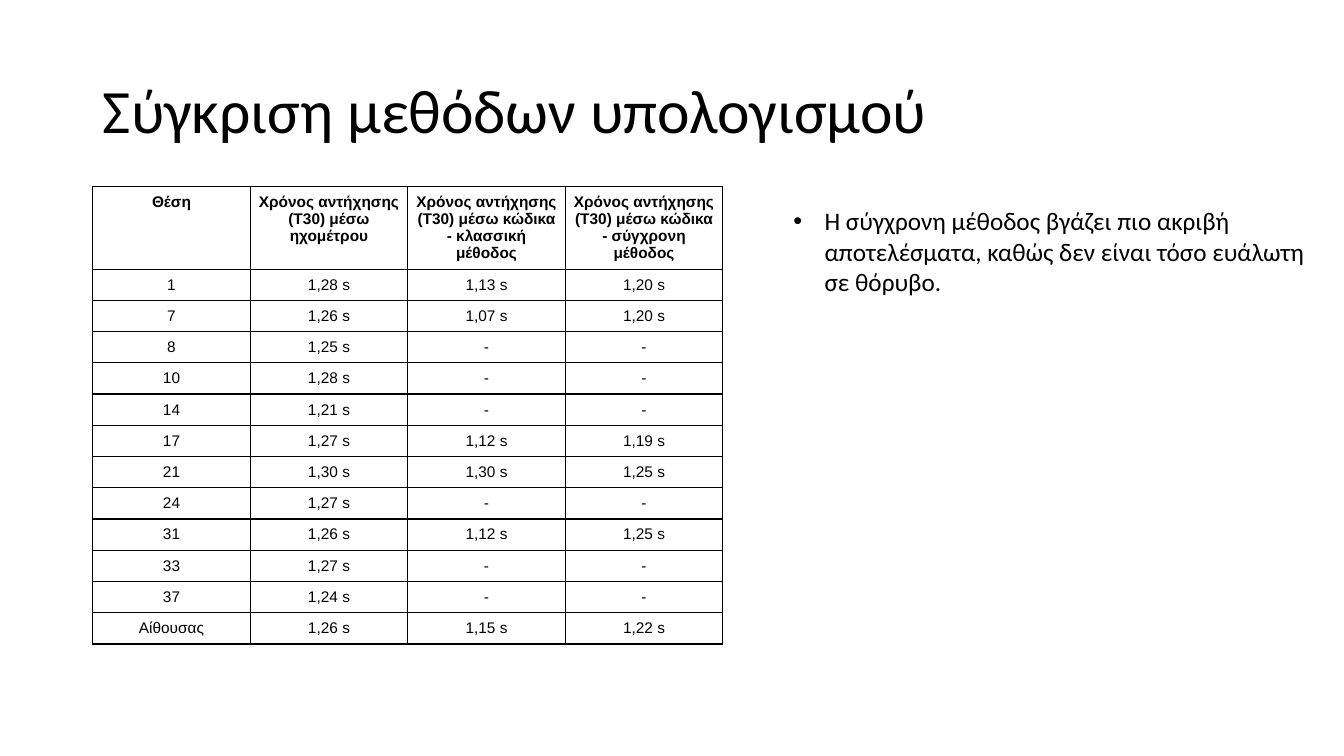
from typing import NamedTuple

from lxml.etree import SubElement
from pptx import Presentation
from pptx.dml.color import RGBColor
from pptx.enum.text import MSO_ANCHOR, MSO_AUTO_SIZE, PP_ALIGN
from pptx.oxml.ns import qn
from pptx.util import Inches, Pt

COLORS = {"text": "000000", "border": "000000"}
HEADERS = (
    "Θέση",
    "Χρόνος αντήχησης (Τ30) μέσω ηχομέτρου",
    "Χρόνος αντήχησης (Τ30) μέσω κώδικα - κλασσική μέθοδος",
    "Χρόνος αντήχησης (Τ30) μέσω κώδικα - σύγχρονη μέθοδος",
)
HEADER_HEIGHT, ROW_HEIGHT = 0.82, 0.31
TABLE_WIDTH = 6.25


class Measurement(NamedTuple):
    position: str
    meter: str
    classic: str = "-"
    modern: str = "-"


MEASUREMENTS = (
    Measurement("1", "1,28 s", "1,13 s", "1,20 s"),
    Measurement("7", "1,26 s", "1,07 s", "1,20 s"),
    Measurement("8", "1,25 s"),
    Measurement("10", "1,28 s"),
    Measurement("14", "1,21 s"),
    Measurement("17", "1,27 s", "1,12 s", "1,19 s"),
    Measurement("21", "1,30 s", "1,30 s", "1,25 s"),
    Measurement("24", "1,27 s"),
    Measurement("31", "1,26 s", "1,12 s", "1,25 s"),
    Measurement("33", "1,27 s"),
    Measurement("37", "1,24 s"),
    Measurement("Αίθουσας", "1,26 s", "1,15 s", "1,22 s"),
)


def format_runs(p, font: str, size: int, bold: bool = False) -> None:
    for r in p.runs:
        r.font.name = font
        r.font.size = Pt(size)
        r.font.bold = bold
        r.font.color.rgb = RGBColor.from_string(COLORS["text"])


def add_borders(cell) -> None:
    tc_pr = cell._tc.get_or_add_tcPr()
    for side in ("a:lnL", "a:lnR", "a:lnT", "a:lnB"):
        ln = SubElement(tc_pr, qn(side), w=str(Pt(1)))
        fill = SubElement(ln, qn("a:solidFill"))
        SubElement(fill, qn("a:srgbClr"), val=COLORS["border"])


def fill_cell(cell, text: str, bold: bool) -> None:
    cell.margin_left = cell.margin_right = Inches(0.07)
    cell.margin_top = cell.margin_bottom = Inches(0.07)
    add_borders(cell)
    cell.fill.background()
    cell.text_frame.text = text
    p = cell.text_frame.paragraphs[0]
    p.alignment = PP_ALIGN.CENTER
    format_runs(p, "Arial", 11, bold)


def set_title(slide, text: str) -> None:
    title = slide.shapes.title
    title.left, title.top = Inches(0.92), Inches(0.4)
    title.width, title.height = Inches(11.5), Inches(1.45)
    tf = title.text_frame
    tf.text = text
    tf.word_wrap = True
    tf.auto_size = MSO_AUTO_SIZE.NONE
    tf.vertical_anchor = MSO_ANCHOR.MIDDLE
    p = tf.paragraphs[0]
    p.alignment = PP_ALIGN.LEFT
    p.line_spacing = 0.9
    format_runs(p, "Calibri", 44)


def add_measurement_table(slide) -> None:
    rows = (HEADERS, *MEASUREMENTS)
    height = HEADER_HEIGHT + ROW_HEIGHT * len(MEASUREMENTS)
    table = slide.shapes.add_table(
        len(rows), len(HEADERS),
        Inches(0.92), Inches(1.85), Inches(TABLE_WIDTH), Inches(height),
    ).table
    table.horz_banding = False
    for column in table.columns:
        column.width = Inches(TABLE_WIDTH / len(HEADERS))
    for i, values in enumerate(rows):
        is_header = i == 0
        table.rows[i].height = Inches(HEADER_HEIGHT if is_header else ROW_HEIGHT)
        for j, value in enumerate(values):
            fill_cell(table.cell(i, j), value, is_header)


def add_bullet_text(slide, text: str) -> None:
    box = slide.shapes.add_textbox(
        Inches(7.77), Inches(1.99), Inches(5.47), Inches(1.92)
    )
    tf = box.text_frame
    tf.word_wrap = True
    tf.auto_size = MSO_AUTO_SIZE.SHAPE_TO_FIT_TEXT
    tf.text = text
    p = tf.paragraphs[0]
    format_runs(p, "Calibri", 18)
    p_pr = p._p.get_or_add_pPr()
    p_pr.set("marL", str(Inches(0.31)))
    p_pr.set("indent", str(-Inches(0.31)))
    SubElement(p_pr, qn("a:buFont"), typeface="Arial")
    SubElement(p_pr, qn("a:buChar"), char="•")


def main() -> None:
    prs = Presentation()
    prs.slide_width, prs.slide_height = Inches(13.33), Inches(7.5)
    slide = prs.slides.add_slide(prs.slide_layouts.get_by_name("Title Only"))
    set_title(slide, "Σύγκριση μεθόδων υπολογισμού")
    add_measurement_table(slide)
    add_bullet_text(
        slide,
        "Η σύγχρονη μέθοδος βγάζει πιο ακριβή αποτελέσματα, "
        "καθώς δεν είναι τόσο ευάλωτη σε θόρυβο.",
    )
    prs.save("out.pptx")


if __name__ == "__main__":
    main()
